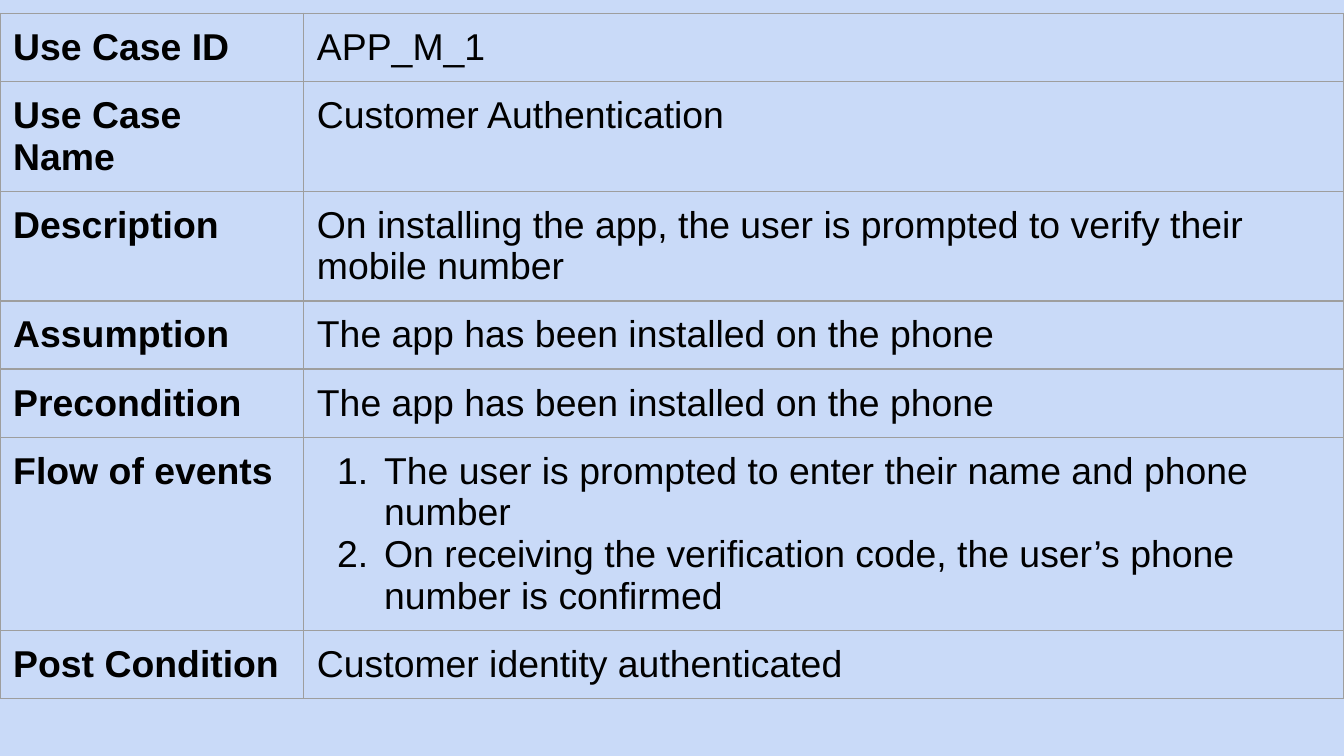
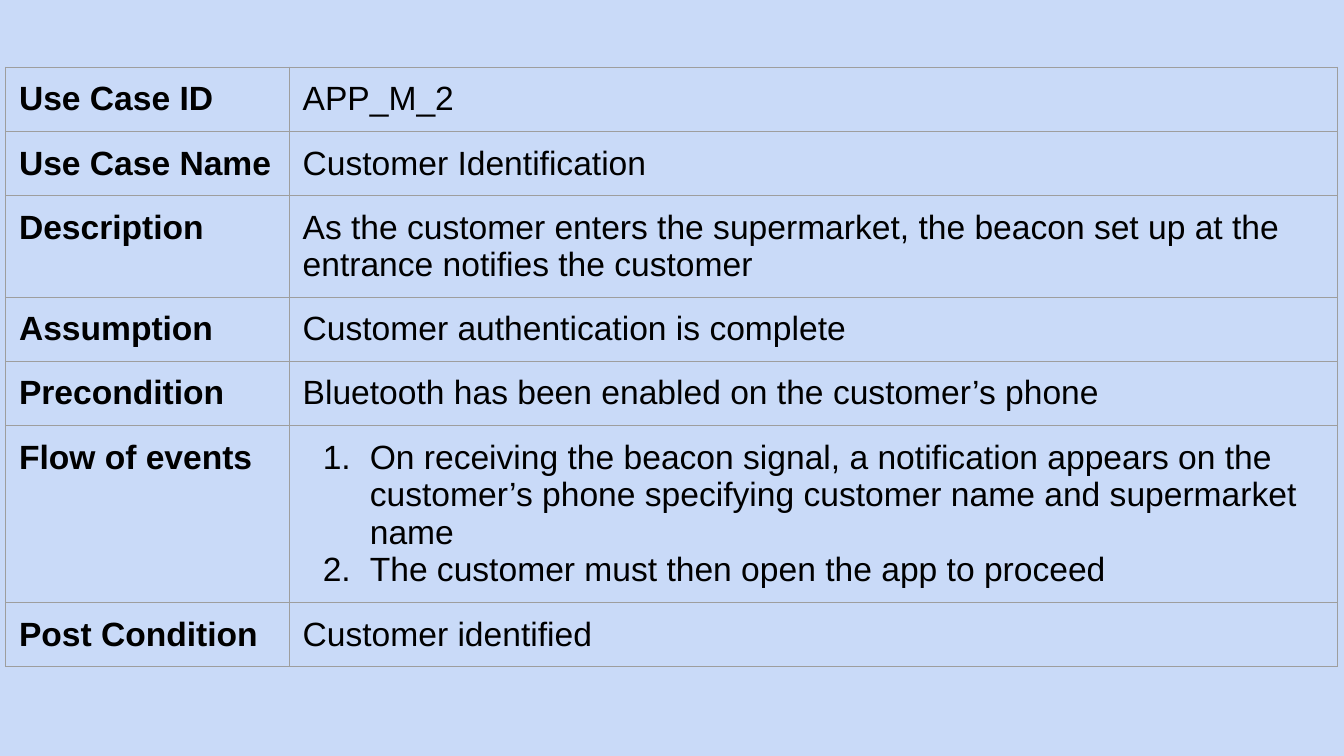
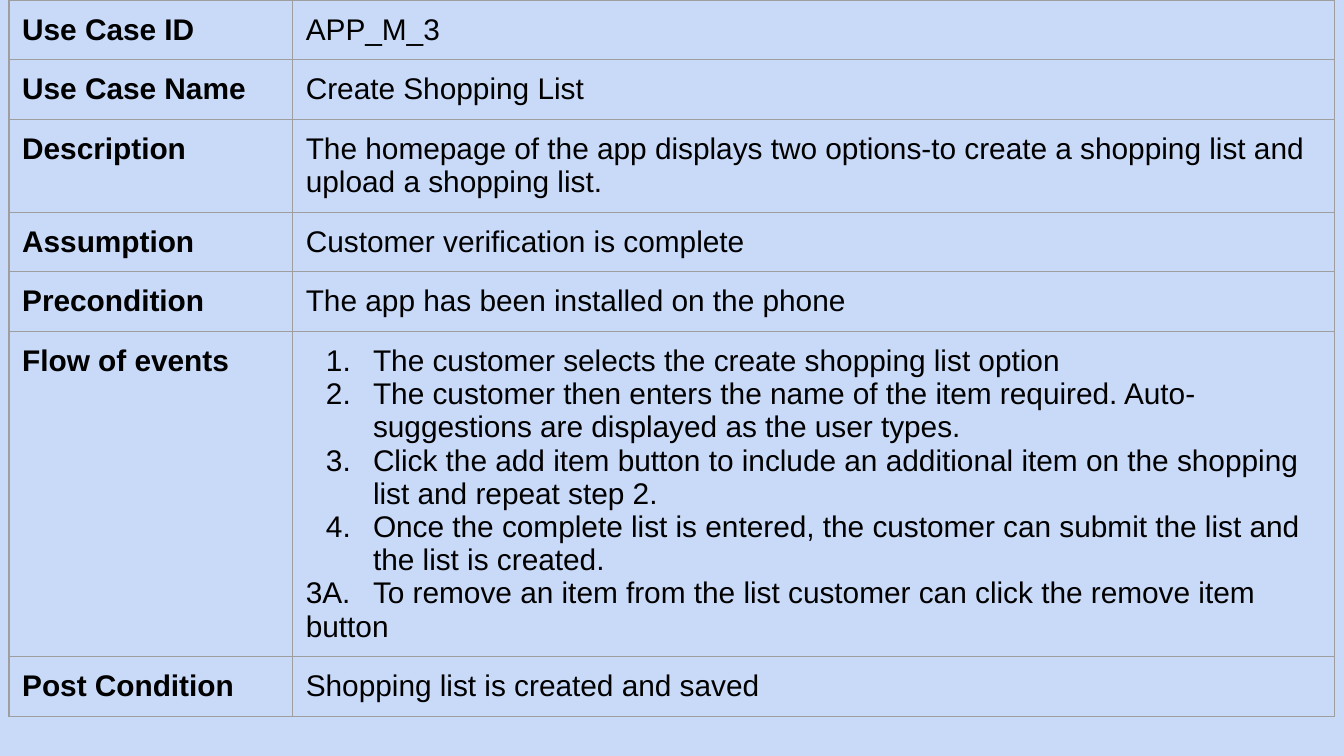
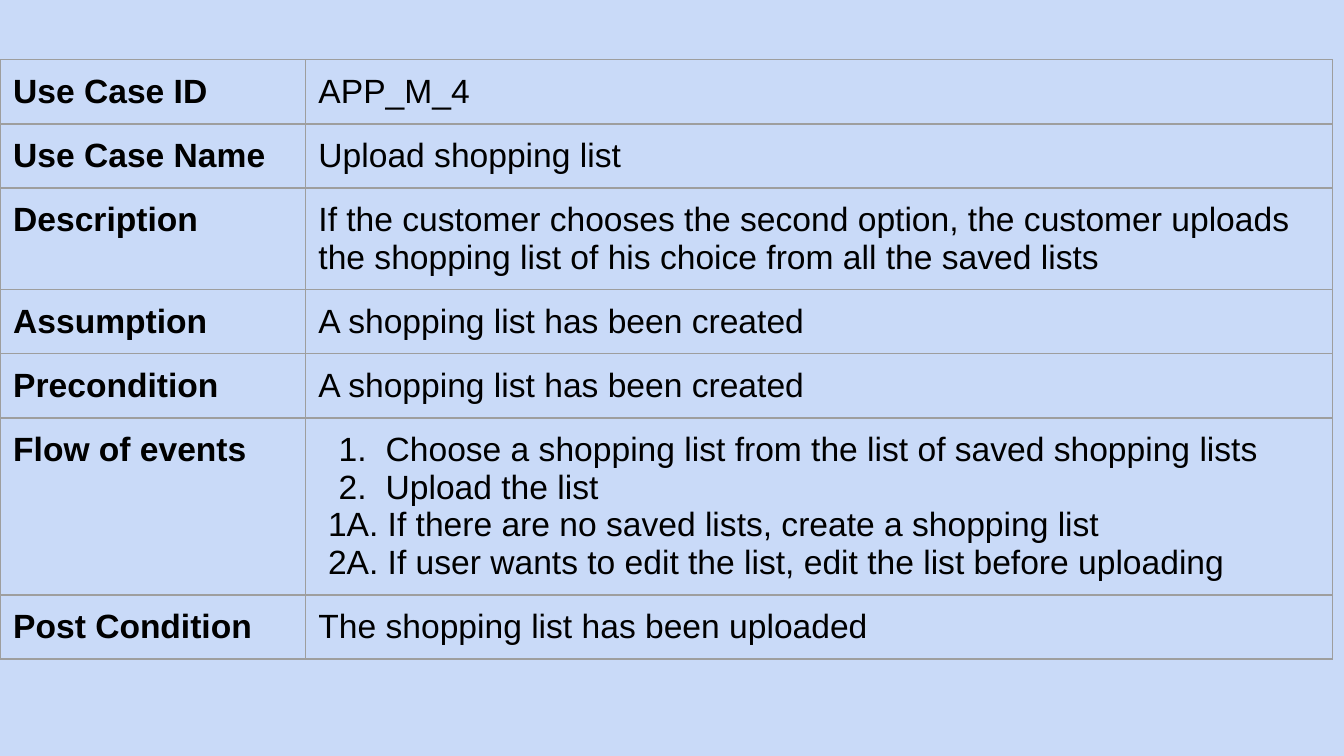
from dataclasses import dataclass, field

from lxml import etree
from pptx import Presentation
from pptx import util as u
from pptx.dml.color import RGBColor
from pptx.oxml import ns


# Shared style
@dataclass(frozen=True)
class Theme:
    background: str = "C9DAF8"
    ink: str = "000000"
    rule: str = "9E9E9E"
    font: str = "Arial"
    large: int = 20
    medium: int = 18
    small: int = 16
    rule_width: float = 0.75
    cell_margin: float = 0.25
    row_height: float = 1.07
    step_margin: float = 1.27
    step_hang: float = 0.89


@dataclass
class UseCase:
    left: float
    top: float
    columns: tuple
    size: int
    answers: list
    steps: list
    result: str
    alternatives: list = field(default_factory=list)
    alternative_margin: float = 0
    alternative_tab: float = 0
    tall_rows: dict = field(default_factory=dict)


THEME = Theme()
LABELS = ["Use Case ID", "Use Case Name", "Description", "Assumption",
          "Precondition", "Flow of events", "Post Condition"]
FLOW_ROW = LABELS.index("Flow of events")

# Content, lengths in centimetres
USE_CASES = [
    UseCase(
        left=0, top=0.25, columns=(5.74, 19.66), size=THEME.large,
        answers=[
            "APP_M_1",
            "Customer Authentication",
            "On installing the app, the user is prompted to verify their mobile number",
            "The app has been installed on the phone",
            "The app has been installed on the phone"],
        steps=[
            "The user is prompted to enter their name and phone number",
            "On receiving the verification code, the user’s phone number is confirmed"],
        result="Customer identity authenticated"),
    UseCase(
        left=0.11, top=1.27, columns=(5.36, 19.81), size=THEME.medium,
        answers=[
            "APP_M_2",
            "Customer Identification",
            "As the customer enters the supermarket, the beacon set up at the "
            "entrance notifies the customer",
            "Customer authentication is complete",
            "Bluetooth has been enabled on the customer’s phone"],
        steps=[
            "On receiving the beacon signal, a notification appears on the customer’s "
            "phone specifying customer name and supermarket name",
            "The customer must then open the app to proceed"],
        result="Customer identified"),
    UseCase(
        left=0.17, top=0, columns=(5.36, 19.69), size=THEME.small,
        answers=[
            "APP_M_3",
            "Create Shopping List",
            "The homepage of the app displays two options-to create a shopping list "
            "and upload a shopping list.",
            "Customer verification is complete",
            "The app has been installed on the phone"],
        steps=[
            "The customer selects the create shopping list option",
            "The customer then enters the name of the item required. "
            "Auto-suggestions are displayed as the user types.",
            "Click the add item button to include an additional item on the shopping "
            "list and repeat step 2.",
            "Once the complete list is entered, the customer can submit the list and "
            "the list is created."],
        alternatives=["3A.\tTo remove an item from the list customer can click the "
                      "remove item button"],
        alternative_tab=1.47,
        result="Shopping list is created and saved",
        tall_rows={2: 1.65, FLOW_ROW: 5.38}),
    UseCase(
        left=0, top=1.13, columns=(5.77, 19.41), size=THEME.medium,
        answers=[
            "APP_M_4",
            "Upload shopping list",
            "If the customer chooses the second option, the customer uploads the "
            "shopping list of his choice from all the saved lists",
            "A shopping list has been created",
            "A shopping list has been created"],
        steps=["Choose a shopping list from the list of saved shopping lists",
               "Upload the list"],
        alternatives=["1A. If there are no saved lists, create a shopping list",
                      "2A. If user wants to edit the list, edit the list before uploading"],
        alternative_margin=0.18,
        result="The shopping list has been uploaded"),
]


def add_element(parent, tag, **attributes):
    element = etree.SubElement(parent, ns.qn(tag))
    for name, value in attributes.items():
        element.set(name, str(value))
    return element


class Deck:
    def __init__(self, theme):
        self.theme = theme
        self.slide = None
        self.presentation = Presentation()
        self.presentation.slide_width = u.Cm(25.4)
        self.presentation.slide_height = u.Cm(14.29)
        fill = self.presentation.slide_master.background.fill
        fill.solid()
        fill.fore_color.rgb = RGBColor.from_string(theme.background)

    def add_slide(self):
        self.slide = self.presentation.slides.add_slide(self.presentation.slide_layouts[6])

    # Paragraphs
    def add_words(self, paragraph, words, size, bold=False):
        run = paragraph.add_run()
        run.text = words
        formats = {"name": self.theme.font, "size": u.Pt(size), "bold": bold}
        for name, value in formats.items():
            setattr(run.font, name, value)
        run.font.color.rgb = RGBColor.from_string(self.theme.ink)

    def number(self, paragraph):
        properties = paragraph._p.get_or_add_pPr()
        properties.set("marL", str(u.Cm(self.theme.step_margin)))
        properties.set("indent", str(-u.Cm(self.theme.step_hang)))
        color = add_element(properties, "a:buClr")
        add_element(color, "a:srgbClr", val=self.theme.ink)
        add_element(properties, "a:buFont", typeface=self.theme.font)
        add_element(properties, "a:buAutoNum", type="arabicPeriod")

    def indent(self, paragraph, margin, tab):
        properties = paragraph._p.get_or_add_pPr()
        properties.set("marL", str(u.Cm(margin)))
        properties.set("indent", "0")
        if tab:
            stops = add_element(properties, "a:tabLst")
            add_element(stops, "a:tab", pos=u.Cm(tab), algn="l")

    # Table cells
    def style_cell(self, cell):
        for side in ("left", "right", "top", "bottom"):
            setattr(cell, f"margin_{side}", u.Cm(self.theme.cell_margin))
        properties = cell._tc.get_or_add_tcPr()
        for edge in ("L", "R", "T", "B"):
            line = add_element(properties, f"a:ln{edge}", w=u.Pt(self.theme.rule_width))
            fill = add_element(line, "a:solidFill")
            add_element(fill, "a:srgbClr", val=self.theme.rule)
        cell.fill.background()

    def add_flow(self, frame, case):
        for index, words in enumerate(case.steps + case.alternatives):
            paragraph = frame.add_paragraph() if index else frame.paragraphs[0]
            if index < len(case.steps):
                self.number(paragraph)
            else:
                self.indent(paragraph, case.alternative_margin, case.alternative_tab)
            self.add_words(paragraph, words, case.size)

    # Whole table
    def add_use_case(self, case):
        height = self.theme.row_height
        table = self.slide.shapes.add_table(
            len(LABELS), len(case.columns), u.Cm(case.left), u.Cm(case.top),
            u.Cm(sum(case.columns)), u.Cm(height * len(LABELS))).table
        table.first_row = table.horz_banding = False
        for column, width in zip(table.columns, case.columns):
            column.width = u.Cm(width)
        answers = [*case.answers, None, case.result]
        for index, (label, answer) in enumerate(zip(LABELS, answers)):
            table.rows[index].height = u.Cm(case.tall_rows.get(index, height))
            label_cell, answer_cell = table.rows[index].cells
            self.style_cell(label_cell)
            self.style_cell(answer_cell)
            self.add_words(label_cell.text_frame.paragraphs[0], label, case.size, bold=True)
            if index == FLOW_ROW:
                self.add_flow(answer_cell.text_frame, case)
            else:
                self.add_words(answer_cell.text_frame.paragraphs[0], answer, case.size)


def main():
    deck = Deck(THEME)
    for case in USE_CASES:
        deck.add_slide()
        deck.add_use_case(case)
    deck.presentation.save("out.pptx")


if __name__ == "__main__":
    main()
